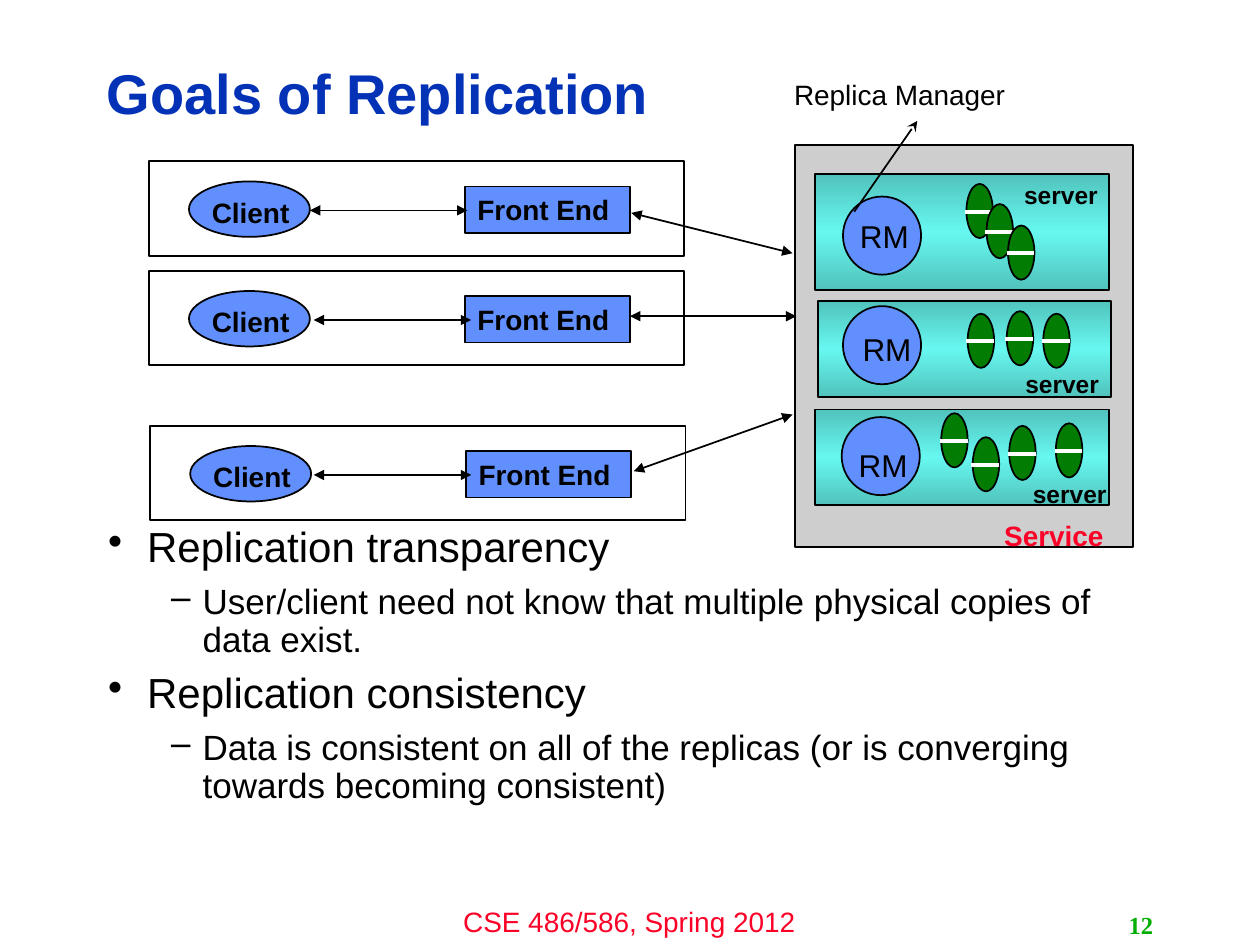
"""Build the Goals of Replication slide with its client, front end and server diagram."""
from dataclasses import dataclass
from typing import Any, NamedTuple, Optional

from lxml.etree import SubElement
from pptx import Presentation
from pptx.dml.color import RGBColor
from pptx.enum.shapes import MSO_CONNECTOR, MSO_SHAPE
from pptx.enum.text import MSO_ANCHOR, PP_ALIGN
from pptx.oxml.ns import qn
from pptx.util import Inches, Pt


@dataclass(frozen=True)
class Theme:
    black: RGBColor = RGBColor.from_string("000000")
    white: RGBColor = RGBColor.from_string("FFFFFF")
    title: RGBColor = RGBColor.from_string("0332B7")
    red: RGBColor = RGBColor.from_string("FC0128")
    number: RGBColor = RGBColor.from_string("00AE00")
    service: RGBColor = RGBColor.from_string("CECECE")
    node: RGBColor = RGBColor.from_string("618FFD")
    disk: RGBColor = RGBColor.from_string("037C03")
    server_edge: str = "51C3BD"
    server_middle: str = "67F7F0"
    font: str = "Arial"
    number_font: str = "Times New Roman"
    title_size: Pt = Pt(32)
    bullet_size: Pt = Pt(24)
    detail_size: Pt = Pt(20)
    manager_size: Pt = Pt(18)
    label_size: Pt = Pt(16)
    small_size: Pt = Pt(14)
    outline: Pt = Pt(1)
    disk_line: Pt = Pt(2.25)


THEME = Theme()


class Frame(NamedTuple):
    left: float
    top: float
    width: float
    height: float

    def lengths(self) -> list:
        return [Inches(value) for value in self]


class ClientRow(NamedTuple):
    left: float
    top: float
    arrow_left: float
    service_arrow: tuple


class Server(NamedTuple):
    frame: Frame
    manager: tuple
    manager_label: tuple
    label: tuple
    disks: list


class Bullet(NamedTuple):
    text: str
    mark: str
    margin: float
    indent: float
    size: Pt


ROWS = [
    ClientRow(1.18, 1.28, 2.46, (5.01, 1.69, 6.29, 2.01)),
    ClientRow(1.18, 2.15, 2.49, (5, 2.51, 6.32, 2.51)),
    ClientRow(1.19, 3.38, 2.49, (5.03, 3.74, 6.29, 3.29)),
]
SERVERS = [
    Server(Frame(6.47, 1.38, 2.33, 0.92), (6.69, 1.56), (6.65, 1.67), (7.99, 1.38),
           [(7.67, 1.46), (7.83, 1.62), (8, 1.79)]),
    Server(Frame(6.49, 2.39, 2.33, 0.76), (6.69, 2.43), (6.67, 2.57), (8, 2.88),
           [(7.68, 2.49), (7.99, 2.47), (8.28, 2.49)]),
    Server(Frame(6.47, 3.25, 2.33, 0.76), (6.68, 3.31), (6.64, 3.49), (8.06, 3.75),
           [(7.47, 3.28), (7.72, 3.47), (8.01, 3.38), (8.38, 3.36)]),
]
BULLETS = [
    Bullet("Replication transparency", "•", 0.31, -0.31, THEME.bullet_size),
    Bullet("User/client need not know that multiple physical copies of data exist.",
           "–", 0.75, -0.25, THEME.detail_size),
    Bullet("Replication consistency", "•", 0.31, -0.31, THEME.bullet_size),
    Bullet("Data is consistent on all of the replicas (or is converging towards becoming consistent)",
           "–", 0.75, -0.25, THEME.detail_size),
]


def set_values(target: Any, values: dict) -> None:
    for name, value in values.items():
        setattr(target, name, value)


def write(paragraph: Any, text: str, size: Pt, color: RGBColor = THEME.black,
          bold: bool = False, font: str = THEME.font) -> None:
    span = paragraph.add_run()
    span.text = text
    set_values(span.font, {"name": font, "size": size, "bold": bold})
    span.font.color.rgb = color


def add_label(page: Any, frame: Frame, text: str, size: Pt, align: PP_ALIGN = PP_ALIGN.CENTER,
              anchor: MSO_ANCHOR = MSO_ANCHOR.TOP, wrap: bool = True, **style: Any) -> Any:
    box = page.shapes.add_textbox(*frame.lengths())
    set_values(box.text_frame, {"word_wrap": wrap, "vertical_anchor": anchor})
    paragraph = box.text_frame.paragraphs[0]
    paragraph.alignment = align
    write(paragraph, text, size, **style)
    return paragraph


def add_box(parent: Any, kind: MSO_SHAPE, frame: Frame, fill: Optional[RGBColor] = None) -> Any:
    box = parent.shapes.add_shape(kind, *frame.lengths())
    box.shadow.inherit = False
    if fill is None:
        box.fill.background()
    else:
        box.fill.solid()
        box.fill.fore_color.rgb = fill
    box.line.color.rgb = THEME.black
    box.line.width = THEME.outline
    return box


def add_line(parent: Any, points: tuple, color: RGBColor = THEME.black, width: Pt = THEME.outline,
             head: Optional[str] = None, tail: Optional[str] = None) -> None:
    line = parent.shapes.add_connector(MSO_CONNECTOR.STRAIGHT, *[Inches(value) for value in points])
    line.line.color.rgb = color
    line.line.width = width
    properties = line.element.spPr
    for tag, arrow in (("a:headEnd", head), ("a:tailEnd", tail)):
        if arrow:
            SubElement(properties.find(qn("a:ln")), qn(tag), type=arrow)
    SubElement(properties, qn("a:effectLst"))


def shade_server(box: Any) -> None:
    box.fill.gradient()
    box.fill.gradient_angle = 90
    stops = box.element.spPr.find(qn("a:gradFill")).find(qn("a:gsLst"))
    for stop in list(stops):
        stops.remove(stop)
    colors = (THEME.server_edge, THEME.server_middle, THEME.server_edge)
    for index, color in enumerate(colors):
        stop = SubElement(stops, qn("a:gs"), pos=str(index * 50000))
        SubElement(stop, qn("a:srgbClr"), val=color)


def add_disk(page: Any, left: float, top: float) -> None:
    group = page.shapes.add_group_shape()
    add_box(group, MSO_SHAPE.OVAL, Frame(left, top, 0.21, 0.43), THEME.disk)
    middle = top + 0.22
    add_line(group, (left - 0.01, middle, left + 0.21, middle), THEME.white, THEME.disk_line)


def add_server(page: Any, server: Server) -> None:
    shade_server(add_box(page, MSO_SHAPE.RECTANGLE, server.frame, THEME.node))
    add_box(page, MSO_SHAPE.OVAL, Frame(*server.manager, 0.62, 0.62), THEME.node)
    add_label(page, Frame(*server.manager_label, 0.74, 0.37), "RM", THEME.manager_size)
    for left, top in server.disks:
        add_disk(page, left, top)
    add_label(page, Frame(*server.label, 0.86, 0.34), "server", THEME.small_size, bold=True)


def add_client_row(page: Any, row: ClientRow) -> None:
    left, top = row.left, row.top
    add_box(page, MSO_SHAPE.RECTANGLE, Frame(left, top, 4.25, 0.75))
    add_box(page, MSO_SHAPE.OVAL, Frame(left + 0.32, top + 0.16, 0.96, 0.44), THEME.node)
    add_label(page, Frame(left + 0.33, top + 0.22, 0.96, 0.37), "Client", THEME.label_size, bold=True)
    front_end = add_box(page, MSO_SHAPE.RECTANGLE, Frame(left + 2.51, top + 0.2, 1.31, 0.37), THEME.node)
    front_end.text_frame.vertical_anchor = MSO_ANCHOR.TOP
    paragraph = front_end.text_frame.paragraphs[0]
    paragraph.alignment = PP_ALIGN.LEFT
    write(paragraph, "Front End", THEME.label_size, bold=True)
    middle = top + 0.39
    for points in ((row.arrow_left, middle, row.arrow_left + 1.25, middle), row.service_arrow):
        add_line(page, points, head="triangle", tail="triangle")


def add_bullets(page: Any) -> None:
    box = page.shapes.add_textbox(*Frame(0.76, 4.13, 8.4, 2.57).lengths())
    box.text_frame.word_wrap = True
    for index, bullet in enumerate(BULLETS):
        paragraph = box.text_frame.add_paragraph() if index else box.text_frame.paragraphs[0]
        properties = paragraph._p.get_or_add_pPr()
        set_values(paragraph, {"line_spacing": 0.9, "space_before": Pt(7.2 if index else 0)})
        properties.set("marL", str(Inches(bullet.margin)))
        properties.set("indent", str(Inches(bullet.indent)))
        SubElement(properties, qn("a:buChar"), char=bullet.mark)
        write(paragraph, bullet.text, bullet.size)


def main() -> None:
    deck = Presentation()
    set_values(deck, {"slide_width": Inches(10), "slide_height": Inches(7.5)})
    page = deck.slides.add_slide(deck.slide_layouts[6])
    add_label(page, Frame(3.33, 7.13, 3.33, 0.37), "CSE 486/586, Spring 2012", THEME.label_size, color=THEME.red)
    title = add_label(page, Frame(0.75, 0.36, 7.98, 0.81), "Goals of Replication", THEME.title_size,
                      PP_ALIGN.LEFT, MSO_ANCHOR.MIDDLE, color=THEME.title, bold=True)
    title.line_spacing = 0.9
    add_bullets(page)
    add_label(page, Frame(7.17, 7.18, 2.08, 0.32), "12", THEME.small_size, PP_ALIGN.RIGHT,
              MSO_ANCHOR.MIDDLE, color=THEME.number, bold=True, font=THEME.number_font)
    add_box(page, MSO_SHAPE.RECTANGLE, Frame(6.31, 1.15, 2.68, 3.19), THEME.service)
    for server in SERVERS:
        add_server(page, server)
    for row in ROWS:
        add_client_row(page, row)
    add_label(page, Frame(7.83, 4.07, 1.07, 0.34), "Service", THEME.label_size, color=THEME.red, bold=True)
    add_label(page, Frame(6.19, 0.57, 1.9, 0.37), "Replica Manager", THEME.label_size, wrap=False)
    add_line(page, (6.78, 1.68, 7.28, 0.96), tail="stealth")
    deck.save("out.pptx")


if __name__ == "__main__":
    main()
